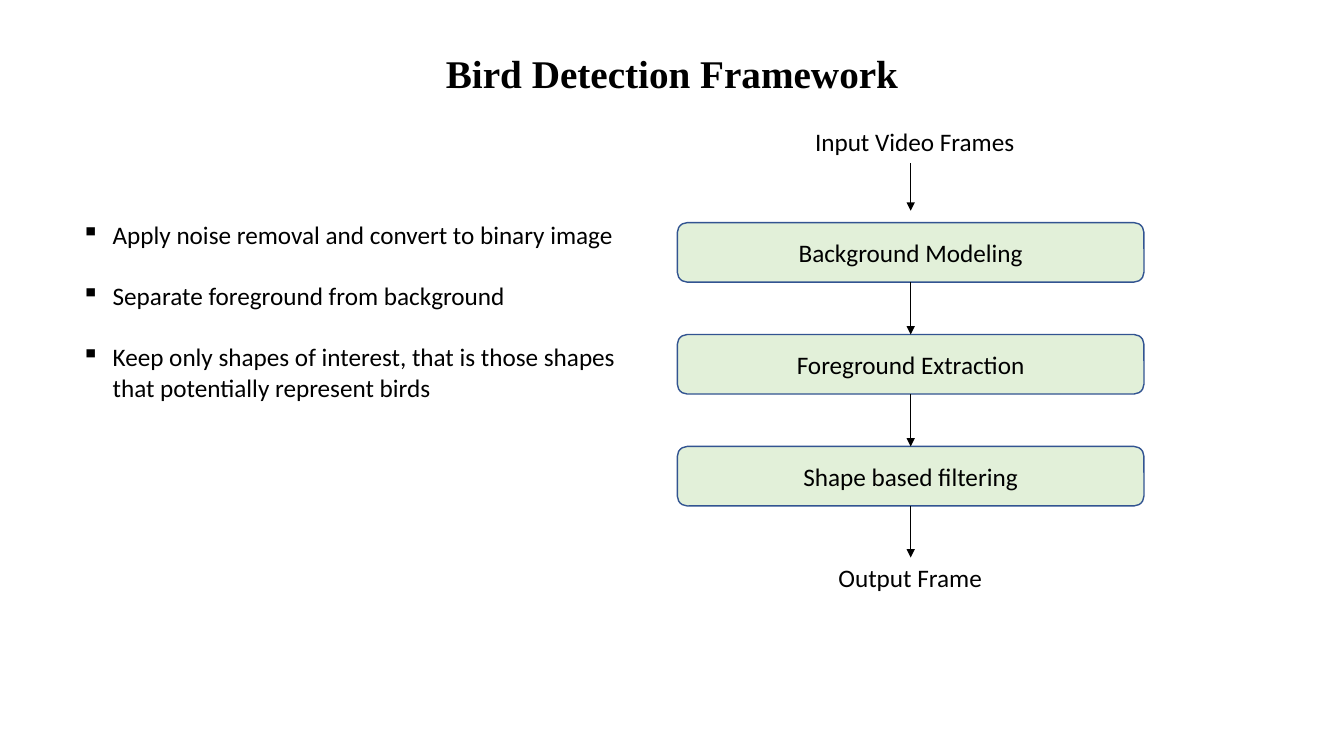
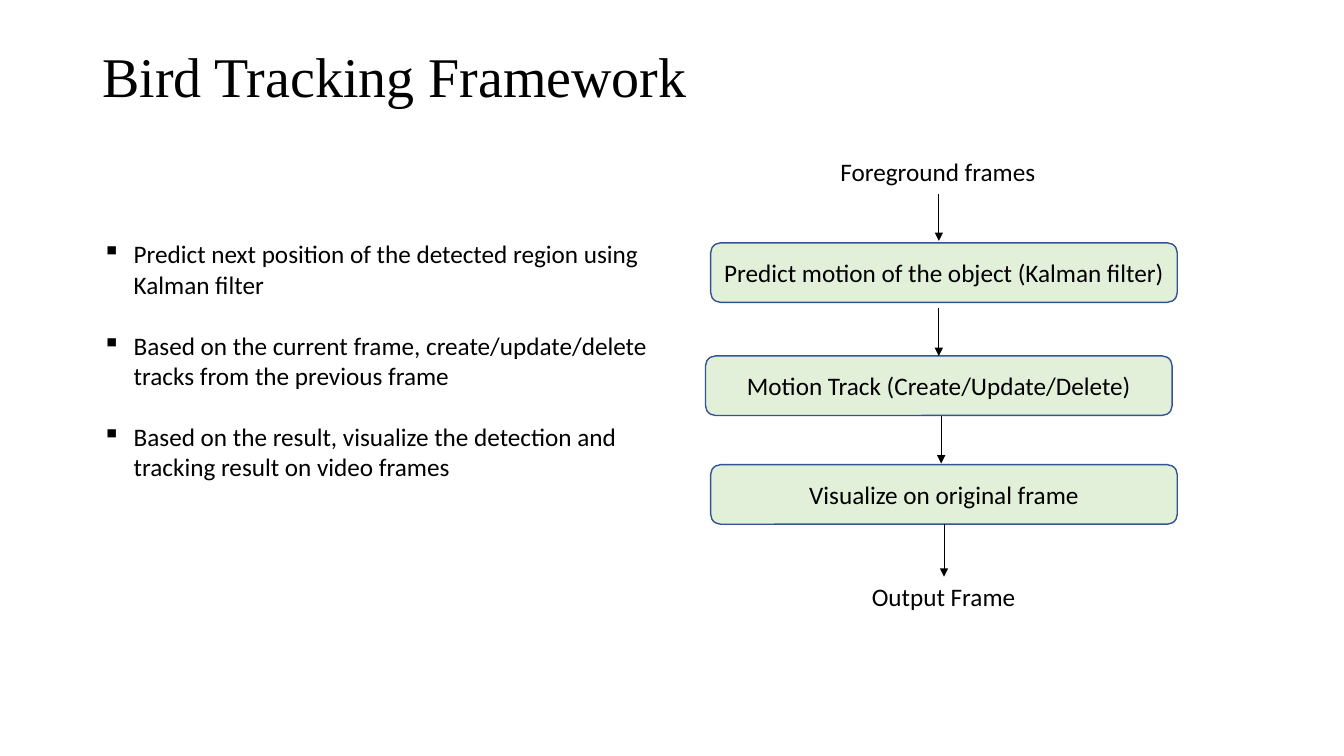
from dataclasses import dataclass

from lxml import etree
from pptx import Presentation
from pptx.dml.color import RGBColor
from pptx.enum.shapes import MSO_CONNECTOR, MSO_SHAPE
from pptx.enum.text import MSO_ANCHOR, PP_ALIGN
from pptx.oxml.ns import qn
from pptx.util import Cm, Pt

LEFT, CENTER = PP_ALIGN.LEFT, PP_ALIGN.CENTER
TOP, MIDDLE = MSO_ANCHOR.TOP, MSO_ANCHOR.MIDDLE
ROUNDED = MSO_SHAPE.ROUNDED_RECTANGLE
STRAIGHT = MSO_CONNECTOR.STRAIGHT
SIDE_TOP, SIDE_BOTTOM = 0, 2


@dataclass(frozen=True)
class Theme:
    ink: RGBColor = RGBColor(0x00, 0x00, 0x00)
    box_fill: RGBColor = RGBColor(0xE2, 0xF0, 0xD9)
    box_line: RGBColor = RGBColor(0x32, 0x54, 0x91)
    title_font: str = "Times New Roman"
    body_font: str = "Calibri"
    body_size: int = 18
    bullet_gap: int = 22
    box_line_width: float = 1
    arrow_width: float = 0.5
    box_width: float = 11.76
    box_height: float = 1.5


class Deck:
    def __init__(self, theme):
        self.theme = theme
        self.prs = Presentation()
        self.prs.slide_width = Cm(33.87)
        self.prs.slide_height = Cm(19.05)
        self.slide = None

    def new_slide(self):
        self.slide = self.prs.slides.add_slide(self.prs.slide_layouts[6])

    def add_text(self, p, text, size=None, font=None, bold=False):
        r = p.add_run()
        r.text = text
        r.font.size = Pt(size or self.theme.body_size)
        r.font.name = font or self.theme.body_font
        r.font.bold = bold
        r.font.color.rgb = self.theme.ink

    def text_frame(self, x, y, w, h, anchor=TOP, wrap=True):
        sp = self.slide.shapes.add_textbox(Cm(x), Cm(y), Cm(w), Cm(h))
        tf = sp.text_frame
        tf.word_wrap = wrap
        tf.vertical_anchor = anchor
        return tf

    def title(self, text, y, size, align=LEFT, bold=False):
        p = self.text_frame(2.33, y, 29.21, 1.96, MIDDLE).paragraphs[0]
        p.alignment = align
        p.line_spacing = 0.9
        self.add_text(p, text, size, self.theme.title_font, bold)

    def label(self, text, x, y, w):
        tf = self.text_frame(x, y, w, 1.02, wrap=False)
        self.add_text(tf.paragraphs[0], text)

    def bullets(self, items, x, y, w, h):
        tf = self.text_frame(x, y, w, h)
        for i, item in enumerate(items):
            p = tf.add_paragraph() if i else tf.paragraphs[0]
            p.space_before = Pt(self.theme.bullet_gap if i else 0)
            pPr = p._p.get_or_add_pPr()
            pPr.set("marL", str(Cm(0.79)))
            pPr.set("indent", str(Cm(-0.79)))
            etree.SubElement(pPr, qn("a:buChar")).set("char", "▪")
            self.add_text(p, item)

    def box(self, text, x, y):
        t = self.theme
        sp = self.slide.shapes.add_shape(
            ROUNDED, Cm(x), Cm(y), Cm(t.box_width), Cm(t.box_height))
        sp.shadow.inherit = False
        sp.fill.solid()
        sp.fill.fore_color.rgb = t.box_fill
        sp.line.color.rgb = t.box_line
        sp.line.width = Pt(t.box_line_width)
        tf = sp.text_frame
        tf.word_wrap = True
        tf.vertical_anchor = MIDDLE
        p = tf.paragraphs[0]
        p.alignment = CENTER
        self.add_text(p, text)
        return sp

    def arrow(self, x, y1, y2, source=None, target=None):
        cxn = self.slide.shapes.add_connector(
            STRAIGHT, Cm(x), Cm(y1), Cm(x), Cm(y2))
        if source is not None:
            cxn.begin_connect(source, SIDE_BOTTOM)
        if target is not None:
            cxn.end_connect(target, SIDE_TOP)
        cxn.line.color.rgb = self.theme.ink
        cxn.line.width = Pt(self.theme.arrow_width)
        ln = cxn.get_or_add_ln()
        etree.SubElement(ln, qn("a:tailEnd")).set("type", "triangle")
        etree.SubElement(cxn._element.spPr, qn("a:effectLst"))


def detection_slide(deck):
    deck.new_slide()
    deck.title("Bird Detection Framework", 0.94, 28, CENTER, True)
    deck.bullets([
        "Apply noise removal and convert to binary image",
        "Separate foreground from background",
        "Keep only shapes of interest, that is those shapes "
        "that potentially represent birds",
    ], 1.8, 5.41, 14.3, 4.85)

    left, first, pitch = 17.07, 5.61, 2.82
    center = left + deck.theme.box_width / 2
    steps = ["Background Modeling", "Foreground Extraction",
             "Shape based filtering"]
    tops = [first + i * pitch for i in range(len(steps))]
    boxes = [deck.box(step, left, top) for step, top in zip(steps, tops)]
    deck.label("Input Video Frames", 20.29, 3.05, 5.59)
    deck.label("Output Frame", 20.88, 14.05, 4.17)

    deck.arrow(center, 4.11, 5.31)
    height = deck.theme.box_height
    ends = tops[1:] + [14.05]
    for top, end, source, target in zip(tops, ends, boxes, boxes[1:] + [None]):
        deck.arrow(center, top + height, end, source, target)


def tracking_slide(deck):
    deck.new_slide()
    deck.title("Bird Tracking Framework", 1.02, 40)
    deck.bullets([
        "Predict next position of the detected region using Kalman filter",
        "Based on the current frame, create/update/delete "
        "tracks from the previous frame",
        "Based on the result, visualize the detection and "
        "tracking result on video frames",
    ], 2.33, 5.89, 14.5, 6.4)

    deck.box("Predict motion of the object (Kalman filter)", 17.91, 6.12)
    track = deck.box("Motion Track (Create/Update/Delete)", 17.78, 8.97)
    visualize = deck.box("Visualize on original frame", 17.91, 11.71)
    deck.label("Foreground frames", 20.93, 3.81, 5.49)
    deck.label("Output Frame", 21.72, 14.53, 4.17)

    deck.arrow(23.66, 4.88, 6.07)
    deck.arrow(23.66, 7.75, 8.97, target=track)
    deck.arrow(23.72, 10.49, 11.68)
    deck.arrow(23.79, 13.21, 14.53, source=visualize)


def main():
    deck = Deck(Theme())
    detection_slide(deck)
    tracking_slide(deck)
    deck.prs.save("out.pptx")


if __name__ == "__main__":
    main()
